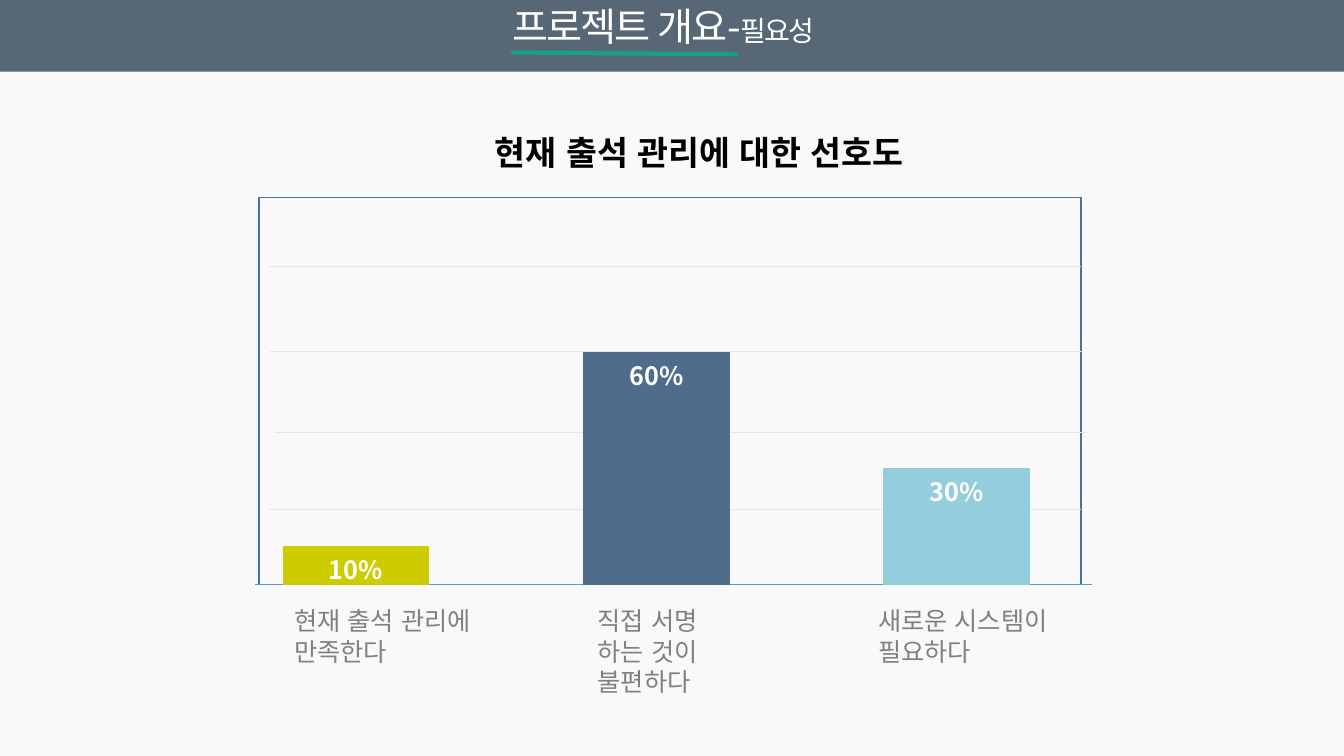
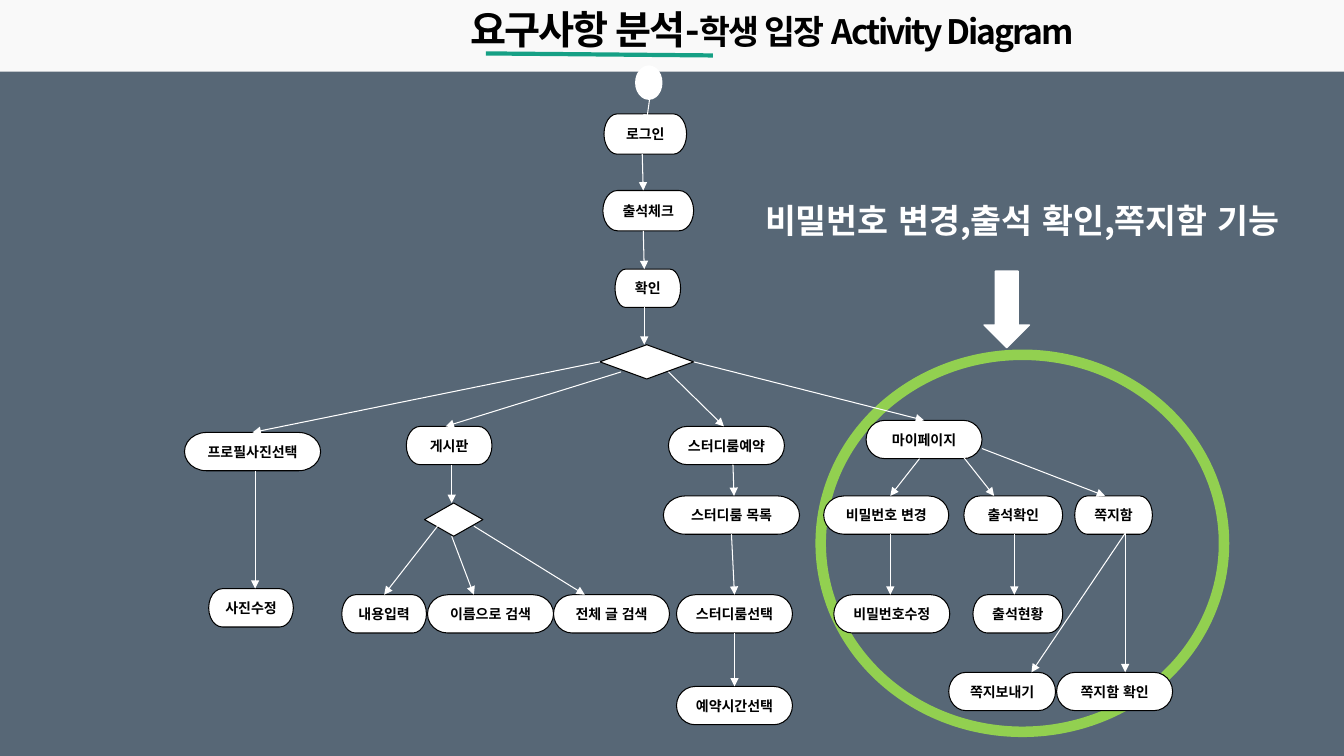
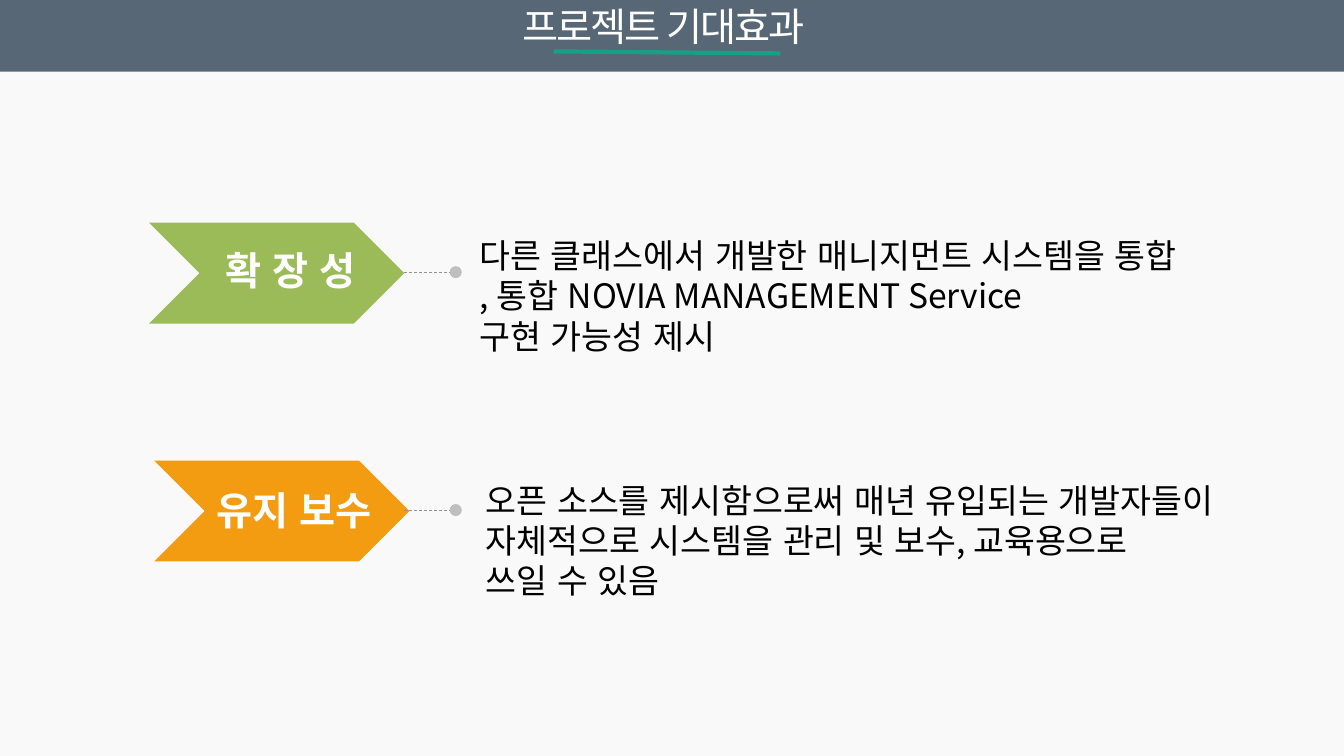
import pptx
import pptx.util
import pptx.chart.data
import pptx.dml.color
import pptx.enum.chart
import pptx.enum.dml
import pptx.enum.shapes
import pptx.enum.text
import pptx.oxml.ns
from lxml import etree

COLS, ROWS = 13.33, 7.5
W, H = pptx.util.Inches(COLS), pptx.util.Inches(ROWS)
FONT = "Noto Sans CJK KR"
PAPER, SLATE, WHITE, BLACK = "F9F9F9", "445566", "FFFFFF", "000000"
TEAL, GREY = "16A085", "808080"
BAND = 0.71
TITLE_BOX = (4.22, -0.03, 4.72, 0.57)
TOP, LEFT, BOTTOM, RIGHT = range(4)
SHAPE = pptx.enum.shapes.MSO_SHAPE
ALIGN = pptx.enum.text.PP_ALIGN
qn = pptx.oxml.ns.qn

SURVEY_TITLE = "현재 출석 관리에 대한 선호도"
SURVEY = [
    (["현재 출석 관리에", "만족한다"], 0.1, "CCCC00", 2.82, 2.57),
    (["직접 서명", "하는 것이", "불편하다"], 0.6, "4F6C8B", 5.83, 1.57),
    (["새로운 시스템이", "필요하다"], 0.3, "94CDDC", 8.61, 2.25),
]
SURVEY_PANEL = (2.57, 1.96, 8.15, 3.84)
SURVEY_CHART = (1.9, 1.8, 9.3, 4.1)
SURVEY_PLOT = (2.04, 1.96, 8.94, 3.84)
GRID_LINES = [(2.67, 5.05), (2.73, 4.29), (2.68, 3.49), (2.67, 2.64)]

HEADLINE = "비밀번호 변경,출석 확인,쪽지함 기능"
NODE_ROWS = [
    (1.13, 0.4, [("로그인", 5.99, 0.82)]),
    (1.89, 0.4, [("출석체크", 5.98, 0.9)]),
    (2.67, 0.38, [("확인", 6.1, 0.65)]),
    (4.17, 0.38, [("마이페이지", 8.59, 1.15)]),
    (4.23, 0.38, [("게시판", 4.03, 0.85), ("스터디룸예약", 6.63, 1.15)]),
    (4.29, 0.38, [("프로필사진선택", 1.83, 1.35)]),
    (4.92, 0.38, [("스터디룸 목록", 6.58, 1.35), ("비밀번호 변경", 8.17, 1.24),
                  ("출석확인", 9.56, 0.98), ("쪽지함", 10.66, 0.77)]),
    (5.84, 0.38, [("사진수정", 2.07, 0.84)]),
    (5.9, 0.38, [("내용입력", 3.39, 0.84), ("이름으로 검색", 4.24, 1.25),
                 ("전체 글 검색", 5.49, 1.15), ("스터디룸선택", 6.71, 1.15),
                 ("비밀번호수정", 8.27, 1.15), ("출석현황", 9.65, 0.89)]),
    (6.67, 0.38, [("쪽지보내기", 9.41, 1.06), ("쪽지함 확인", 10.48, 1.15)]),
    (6.81, 0.38, [("예약시간선택", 6.71, 1.15)]),
]
DECISIONS = {"menu": (5.95, 3.42, 0.93, 0.34), "board": (4.21, 4.99, 0.58, 0.33)}
FLOWS = [
    (("menu", LEFT), ("프로필사진선택", TOP)),
    (("menu", RIGHT), ("마이페이지", TOP)),
    (("스터디룸선택", BOTTOM), ("예약시간선택", TOP)),
    (("스터디룸 목록", BOTTOM), ("스터디룸선택", TOP)),
    ((6.37, 1.53), (6.38, 1.89)),
    ((6.38, 2.29), (6.39, 2.67)),
    ((6.39, 3.05), (6.39, 3.42)),
    ((2.53, 4.67), (2.53, 5.84)),
    ((4.48, 4.61), (4.48, 4.99)),
    ((7.27, 4.61), (7.28, 4.92)),
    ((6.16, 3.69), (4.42, 4.23)),
    ((6.63, 3.69), (7.18, 4.23)),
    ((4.34, 5.22), ("내용입력", TOP)),
    ((4.48, 5.32), (4.7, 5.9)),
    ((4.7, 5.22), (5.8, 5.9)),
    ((9.12, 4.55), (8.83, 4.92)),
    ((9.56, 4.54), (9.86, 4.92)),
    ((9.74, 4.45), (10.96, 4.92)),
    ((8.83, 5.3), (8.83, 5.9)),
    ((10.06, 5.3), (10.06, 5.9)),
    ((11.16, 5.29), (11.16, 6.67)),
    ((11.16, 5.29), (10.23, 6.67)),
    ((6.46, 0.86), (6.41, 1.22)),
]

EFFECTS = [
    ("확 장 성", "9BBB59", (1.48, 2.21), (1.92, 2.39), (4.66, 2.28, 7.19, 1.31), True,
     ["다른 클래스에서 개발한 매니지먼트 시스템을 통합",
      ", 통합 NOVIA MANAGEMENT Service",
      "구현 가능성 제시"]),
    ("유지 보수", "F39C12", (1.53, 4.57), (1.95, 4.78), (4.72, 4.71, 8.32, 1.31), False,
     ["오픈 소스를 제시함으로써 매년 유입되는 개발자들이",
      "자체적으로 시스템을 관리 및 보수, 교육용으로",
      "쓰일 수 있음"]),
]


def rgb(hex_code):
    return pptx.dml.color.RGBColor.from_string(hex_code)


def cells(*values):
    return [int(v * (H / ROWS if i % 2 else W / COLS)) for i, v in enumerate(values)]


def add_east_asian(element, tag):
    for props in element.iter(qn(tag)):
        if props.find(qn("a:latin")) is not None:
            props.set("lang", "ko-KR")
            etree.SubElement(props, qn("a:ea"), typeface=FONT)


def write(sp, paragraphs, size=18, color=BLACK, bold=False, align=ALIGN.LEFT,
          wrap=True, spacing=None):
    tf = sp.text_frame
    tf.word_wrap = wrap
    for i, runs in enumerate(paragraphs):
        p = tf.paragraphs[0] if i == 0 else tf.add_paragraph()
        p.alignment = align
        for words, run_size in [(runs, size)] if isinstance(runs, str) else runs:
            r = p.add_run()
            r.text = words
            r.font.size = pptx.util.Pt(run_size)
            r.font.bold = bold
            r.font.name = FONT
            r.font.color.rgb = rgb(color)
    add_east_asian(sp.element, "a:rPr")
    if spacing:
        for props in sp.element.iter(qn("a:rPr")):
            props.set("spc", str(int(spacing * 100)))


def add_text(s, at, paragraphs, **fmt):
    write(s.shapes.add_textbox(*cells(*at)), paragraphs, **fmt)


def add_shape(s, kind, at, fill=None, line=None, width=1, alpha=None):
    sp = s.shapes.add_shape(kind, *cells(*at))
    sp.shadow.inherit = False
    if fill:
        sp.fill.solid()
        sp.fill.fore_color.rgb = rgb(fill)
    else:
        sp.fill.background()
    if line:
        sp.line.color.rgb = rgb(line)
        sp.line.width = pptx.util.Pt(width)
    else:
        sp.line.fill.background()
    if alpha:
        color = sp.element.spPr.find(".//" + qn("a:srgbClr"))
        etree.SubElement(color, qn("a:alpha"), val=str(alpha * 1000))
    return sp


def add_line(s, start, end, color, width, dash=None, arrow=False):
    cx = s.shapes.add_connector(pptx.enum.shapes.MSO_CONNECTOR.STRAIGHT,
                                *cells(*start, *end))
    cx.line.color.rgb = rgb(color)
    cx.line.width = pptx.util.Pt(width)
    if dash:
        cx.line.dash_style = dash
    props = cx.element.spPr
    if arrow:
        etree.SubElement(props.find(qn("a:ln")), qn("a:tailEnd"), type="triangle")
    etree.SubElement(props, qn("a:effectLst"))
    return cx


def new_slide(prs, title, underline, dark_body=False):
    s = prs.slides.add_slide(prs.slide_layouts[6])
    s.background.fill.solid()
    s.background.fill.fore_color.rgb = rgb(PAPER)
    band = (0, BAND, COLS, ROWS - BAND) if dark_body else (0, 0, COLS, BAND)
    add_shape(s, SHAPE.RECTANGLE, band, fill=SLATE, alpha=89)
    add_text(s, (3.75, 0, 7.82, 0.98) if dark_body else TITLE_BOX, [title], size=28,
             color=BLACK if dark_body else WHITE, bold=dark_body,
             align=ALIGN.CENTER, spacing=-1.5)
    x, y = underline
    add_line(s, (x, y), (x + 2.25, y + 0.02), TEAL, 3)
    return s


def place_plot(chart):
    fx, fy, fw, fh = SURVEY_CHART
    px, py, pw, ph = SURVEY_PLOT
    area = chart.element.find(".//" + qn("c:plotArea"))
    for old in area.findall(qn("c:layout")):
        area.remove(old)
    layout = etree.Element(qn("c:layout"))
    manual = etree.SubElement(layout, qn("c:manualLayout"))
    for name, value in [("layoutTarget", "inner"), ("xMode", "edge"), ("yMode", "edge"),
                        ("x", (px - fx) / fw), ("y", (py - fy) / fh),
                        ("w", pw / fw), ("h", ph / fh)]:
        etree.SubElement(manual, qn("c:" + name), val=str(value))
    area.insert(0, layout)


def set_font(font, color, bold=False):
    font.name = FONT
    font.size = pptx.util.Pt(18)
    font.bold = bold
    font.color.rgb = rgb(color)


def add_survey_chart(s):
    xl = pptx.enum.chart
    data = pptx.chart.data.CategoryChartData(number_format="0%")
    data.categories = [" ".join(row[0]) for row in SURVEY]
    data.add_series("선호도", [row[1] for row in SURVEY])
    chart = s.shapes.add_chart(xl.XL_CHART_TYPE.COLUMN_CLUSTERED,
                               *cells(*SURVEY_CHART), data).chart
    chart.has_legend = chart.has_title = False
    set_font(chart.font, GREY)
    plot = chart.plots[0]
    plot.vary_by_categories = False
    plot.gap_width = 105
    plot.has_data_labels = True
    labels = plot.data_labels
    labels.show_value = True
    labels.number_format, labels.number_format_is_linked = "0%", False
    labels.position = xl.XL_LABEL_POSITION.INSIDE_END
    set_font(labels.font, WHITE, bold=True)
    for i, row in enumerate(SURVEY):
        fill = plot.series[0].points[i].format.fill
        fill.solid()
        fill.fore_color.rgb = rgb(row[2])
    values = chart.value_axis
    values.minimum_scale, values.maximum_scale, values.major_unit = 0, 1, 0.2
    values.has_major_gridlines = False
    for axis in (values, chart.category_axis):
        axis.major_tick_mark = xl.XL_TICK_MARK.NONE
        axis.tick_label_position = xl.XL_TICK_LABEL_POSITION.NONE
        axis.format.line.fill.background()
    place_plot(chart)
    add_east_asian(chart.element, "a:defRPr")


def add_need_slide(prs):
    s = new_slide(prs, [("프로젝트 개요-", 28), ("필요성", 20)], (5.07, 0.52))
    add_shape(s, SHAPE.RECTANGLE, SURVEY_PANEL, PAPER, "43739E")
    add_line(s, (2.53, 5.8), (10.83, 5.8), "5B9BD5", 0.5)
    for x, y in GRID_LINES:
        add_line(s, (x, y), (x + 8.05, y), "E7E6E6", 0.5)
    add_survey_chart(s)
    for caption, _, _, left, width in SURVEY:
        add_text(s, (left, 5.96, width, 0.1 + 0.3 * len(caption)), caption, color=GREY)
    add_text(s, (4.3, 1.26, 5.27, 0.5), [SURVEY_TITLE], size=24, bold=True,
             align=ALIGN.CENTER)


def add_flow(s, nodes, start, end):
    ends = [p if not isinstance(p[0], str) else (0, 0) for p in (start, end)]
    cx = add_line(s, *ends, WHITE, 0.75, arrow=True)
    for p, connect in ((start, cx.begin_connect), (end, cx.end_connect)):
        if isinstance(p[0], str):
            connect(nodes[p[0]], p[1])


def add_activity_slide(prs):
    s = new_slide(prs, [("요구사항 분석-", 28), ("학생 입장 Activity Diagram", 24)],
                  (4.82, 0.53), dark_body=True)
    add_shape(s, SHAPE.OVAL, (8.14, 3.52, 4, 3.74), line="92D050", width=7.5)
    add_text(s, (7.49, 1.93, 5.84, 0.5), [HEADLINE], size=24, color=WHITE, bold=True)
    add_shape(s, SHAPE.DOWN_ARROW, (9.76, 2.69, 0.45, 0.76), WHITE, WHITE)
    add_shape(s, SHAPE.FLOWCHART_CONNECTOR, (6.32, 0.67, 0.23, 0.3), WHITE, WHITE, 3)
    nodes = {key: add_shape(s, SHAPE.FLOWCHART_DECISION, at, WHITE, BLACK, 0.75)
             for key, at in DECISIONS.items()}
    for top, height, row in NODE_ROWS:
        for name, left, width in row:
            sp = add_shape(s, SHAPE.FLOWCHART_TERMINATOR, (left, top, width, height),
                           WHITE, BLACK, 0.75)
            write(sp, [name], size=10, bold=True, align=ALIGN.CENTER, wrap=False)
            nodes[name] = sp
    for start, end in FLOWS:
        add_flow(s, nodes, start, end)


def add_effects_slide(prs):
    s = new_slide(prs, "프로젝트 기대효과", (5.49, 0.51))
    dot, dot_x, tip_x = 0.12, 4.46, 4.01
    for name, color, (x, y), label_at, body_at, wrap, body in EFFECTS:
        add_shape(s, SHAPE.CHEVRON, (x, y, 2.53, 1), color)
        mid = y + 0.49
        add_shape(s, SHAPE.OVAL, (dot_x, mid - dot / 2, dot, dot), "BFBFBF")
        add_line(s, (tip_x, mid), (dot_x, mid), "929292", 0.5,
                 dash=pptx.enum.dml.MSO_LINE.DASH)
        add_text(s, (*label_at, 1.93, 0.57), [name], size=28, color=WHITE, bold=True,
                 align=ALIGN.CENTER)
        add_text(s, body_at, body, size=24, wrap=wrap)


def main():
    prs = pptx.Presentation()
    prs.slide_width, prs.slide_height = W, H
    add_need_slide(prs)
    add_activity_slide(prs)
    add_effects_slide(prs)
    prs.save("out.pptx")


if __name__ == "__main__":
    main()
